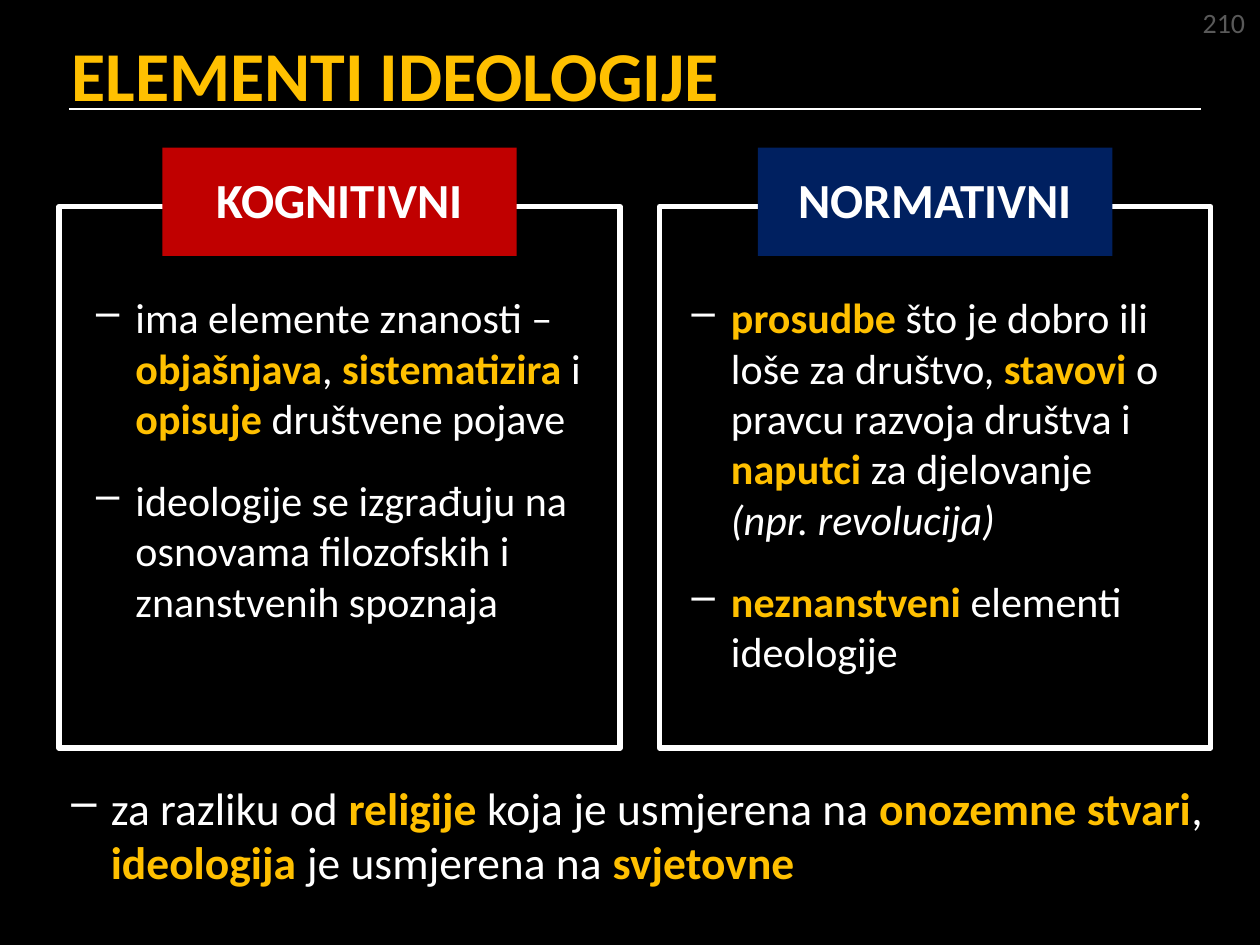
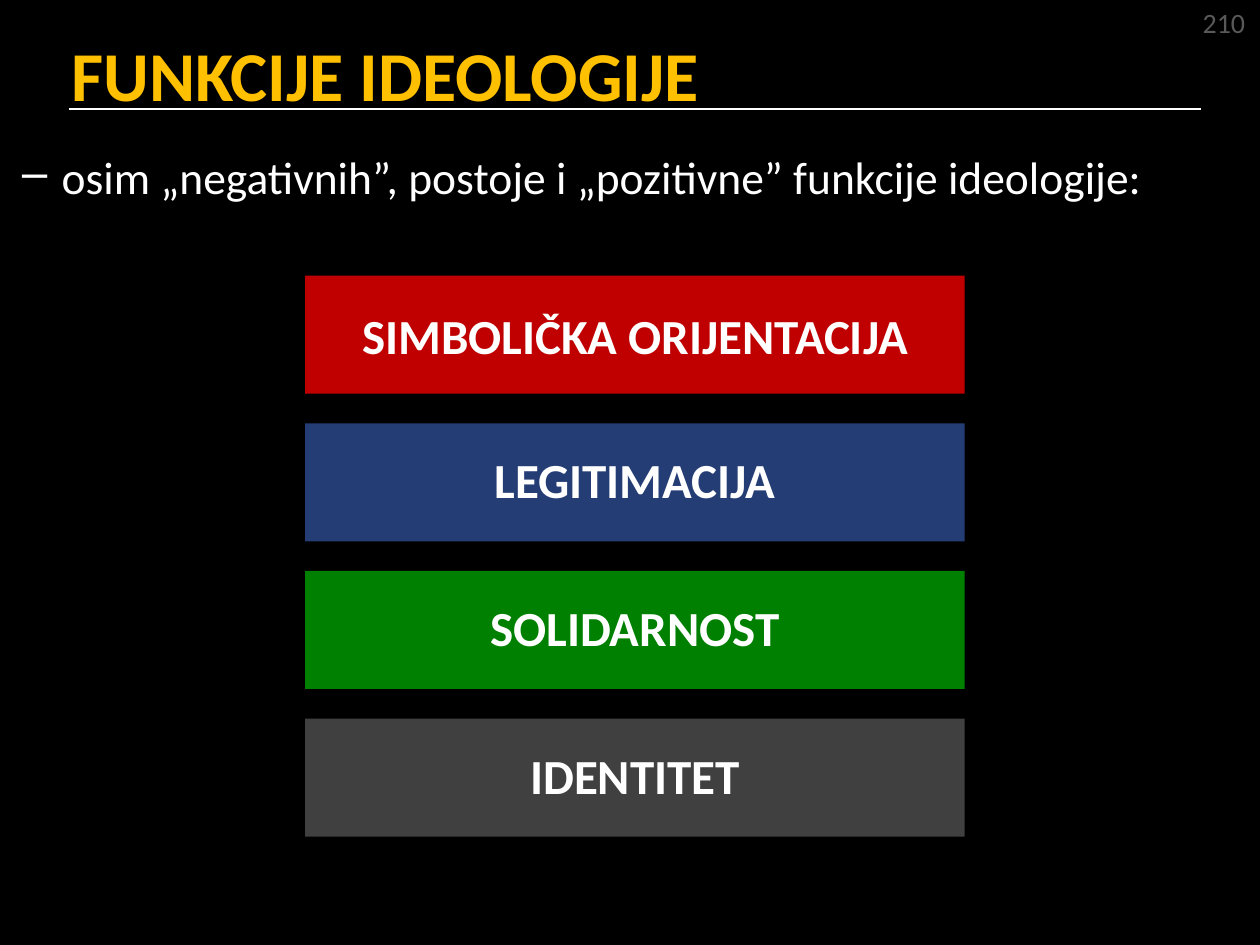
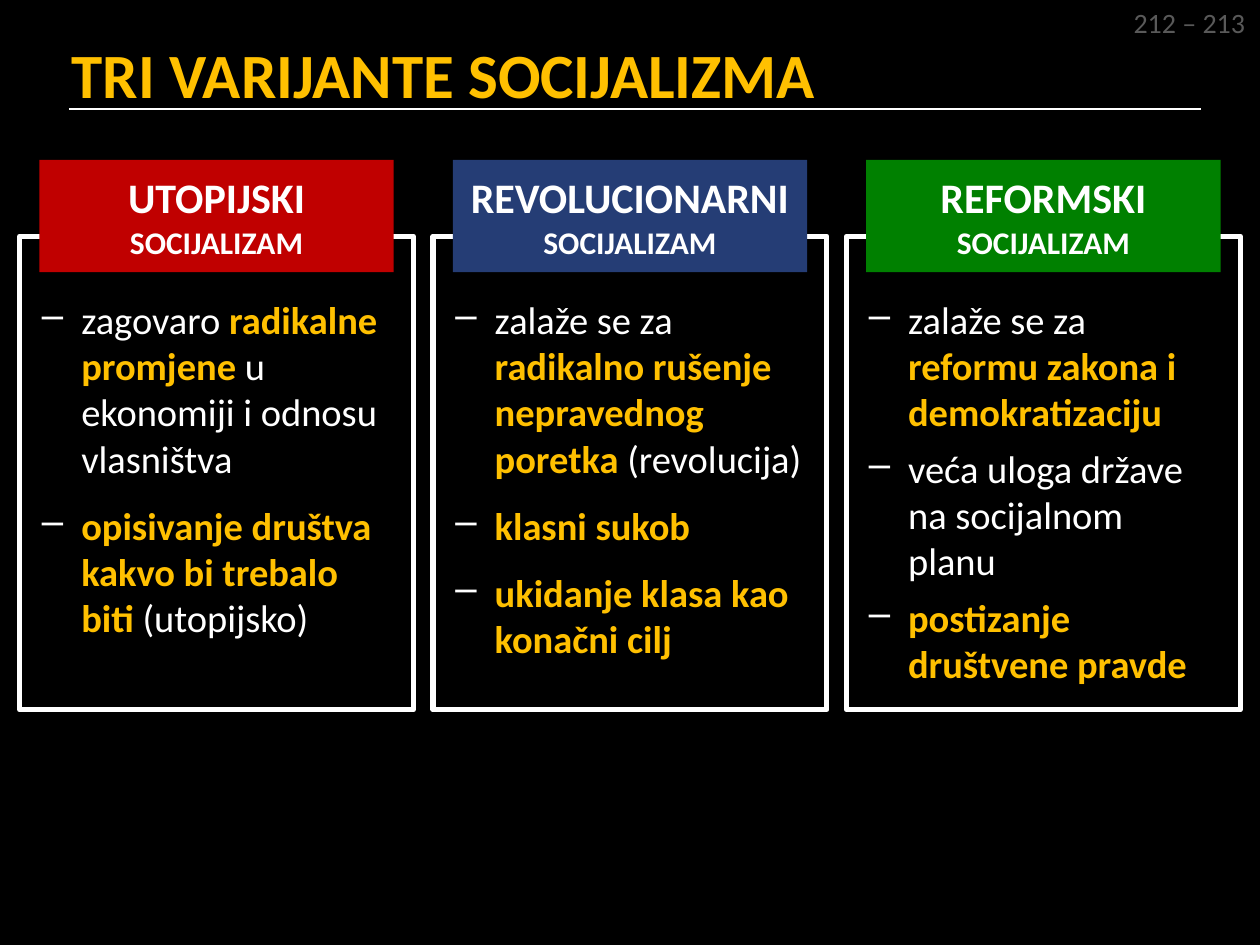
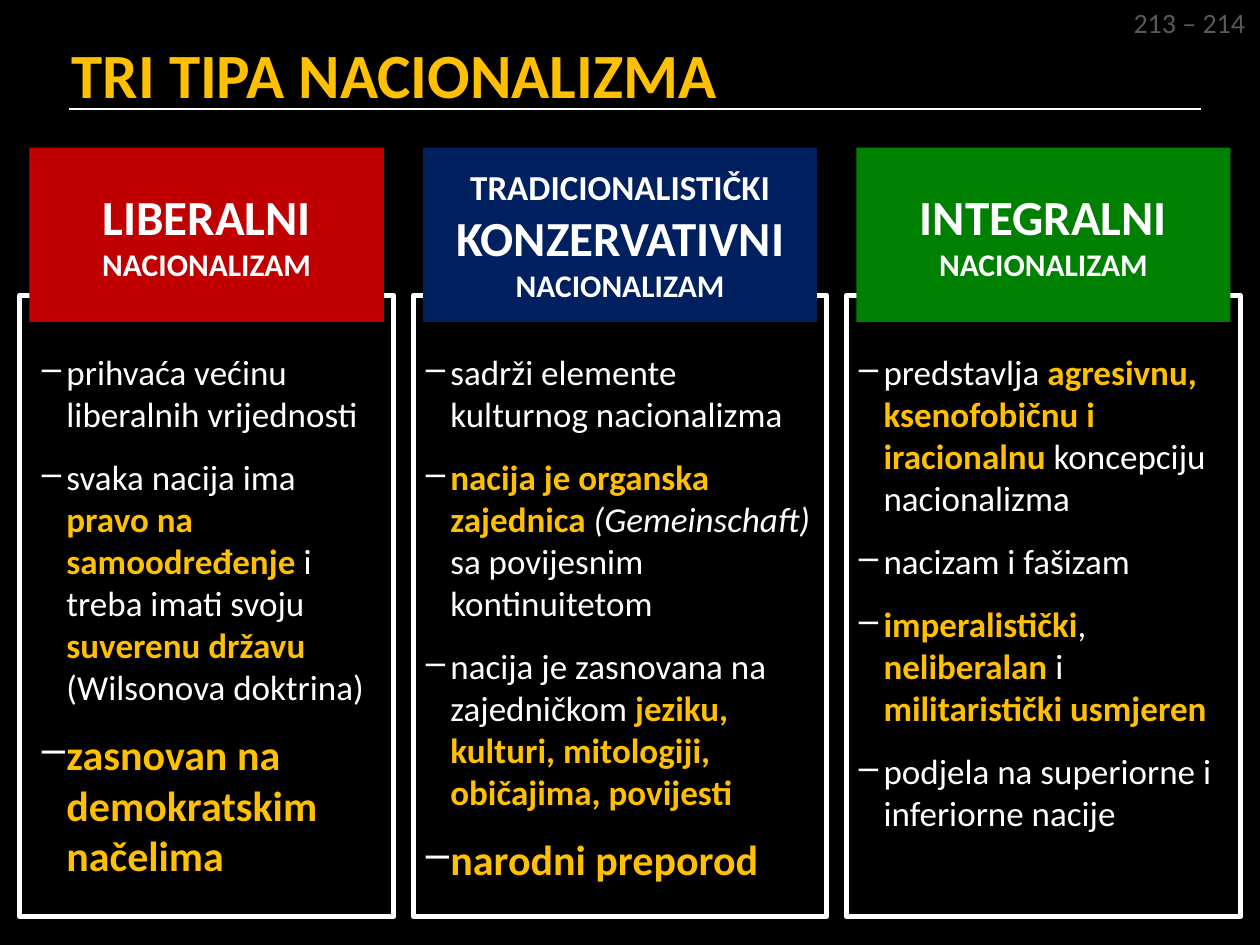
from dataclasses import dataclass
from typing import NamedTuple, Optional

from lxml.etree import SubElement
from pptx import Presentation
from pptx.dml.color import RGBColor
from pptx.enum.shapes import MSO_CONNECTOR, MSO_SHAPE
from pptx.enum.text import MSO_ANCHOR, MSO_AUTO_SIZE, PP_ALIGN
from pptx.oxml.ns import qn
from pptx.util import Emu, Inches, Length, Pt

SLIDE_WIDTH = Inches(10)
SLIDE_HEIGHT = Inches(7.5)
COLUMNS = 128
ROWS = 96


@dataclass(frozen=True)
class Theme:
    font: str = "Calibri"
    background: str = "000000"
    text: str = "FFFFFF"
    accent: str = "FFC000"
    muted: str = "595959"
    red: str = "C00000"
    navy: str = "002060"
    blue: str = "253D75"
    green: str = "008000"
    gray: str = "404040"
    title: int = 40
    long_title: int = 36
    heading: int = 28
    lead: int = 26
    large: int = 24
    medium: int = 22
    small: int = 20
    caption: int = 18
    page_number: int = 16
    rule_width: int = 1
    frame_width: int = 3
    tight: float = 0.93


THEME = Theme()


class Area(NamedTuple):
    left: float
    top: float
    width: float
    height: float


@dataclass(frozen=True)
class Span:
    text: str
    color: str = THEME.text
    bold: bool = False
    italic: bool = False
    size: Optional[int] = None


@dataclass(frozen=True)
class Para:
    spans: list[Span]
    line_spacing: float | Length | None = None


@dataclass(frozen=True)
class Bullets:
    area: Area
    size: int
    items: list[list[Span]]
    indent: float = 4
    gap: int = 0
    line_spacing: Optional[float] = None


@dataclass(frozen=True)
class Card:
    left: float
    width: float
    header_width: float
    color: str
    heading: list[Para]
    text_left: float
    text_width: float
    text_height: float
    items: list[list[Span]]
    gap: int


@dataclass(frozen=True)
class CardRow:
    frame_top: float
    frame_height: float
    header_top: float
    header_height: float
    text_top: float
    text_size: int
    indent: float
    cards: list[Card]


def gold(text: str, size: Optional[int] = None) -> Span:
    return Span(text, THEME.accent, bold=True, size=size)


def italic(text: str) -> Span:
    return Span(text, italic=True)


def strong(text: str, size: int) -> Span:
    return Span(text, bold=True, size=size)


def across(columns: float) -> Emu:
    return Emu(round(SLIDE_WIDTH * columns / COLUMNS))


def down(rows: float) -> Emu:
    return Emu(round(SLIDE_HEIGHT * rows / ROWS))


def place(area: Area) -> tuple[Emu, Emu, Emu, Emu]:
    return across(area.left), down(area.top), across(area.width), down(area.height)


def rgb(color: str) -> RGBColor:
    return RGBColor.from_string(color)


def write_spans(paragraph, spans: list[Span], size: int) -> None:
    for span in spans:
        run = paragraph.add_run()
        run.text = span.text
        run.font.name = THEME.font
        run.font.size = Pt(span.size or size)
        run.font.color.rgb = rgb(span.color)
        run.font.bold = span.bold
        run.font.italic = span.italic


def next_paragraph(frame, index: int):
    return frame.add_paragraph() if index else frame.paragraphs[0]


def add_text_box(page, area: Area):
    frame = page.shapes.add_textbox(*place(area)).text_frame
    frame.word_wrap = True
    return frame


def add_rectangle(page, area: Area):
    box = page.shapes.add_shape(MSO_SHAPE.RECTANGLE, *place(area))
    box.shadow.inherit = False
    return box


def add_frame(page, area: Area) -> None:
    box = add_rectangle(page, area)
    box.fill.background()
    box.line.color.rgb = rgb(THEME.text)
    box.line.width = Pt(THEME.frame_width)


def add_label(page, area: Area, color: str, heading: list[Para]) -> None:
    box = add_rectangle(page, area)
    box.fill.solid()
    box.fill.fore_color.rgb = rgb(color)
    box.line.fill.background()
    frame = box.text_frame
    frame.word_wrap = True
    frame.vertical_anchor = MSO_ANCHOR.MIDDLE
    for index, para in enumerate(heading):
        paragraph = next_paragraph(frame, index)
        paragraph.alignment = PP_ALIGN.CENTER
        paragraph.line_spacing = para.line_spacing
        write_spans(paragraph, para.spans, THEME.heading)


def add_dash(paragraph, indent: float) -> None:
    properties = paragraph._p.get_or_add_pPr()
    properties.set("marL", str(across(indent)))
    properties.set("indent", str(-across(indent)))
    color = SubElement(properties, qn("a:buClr"))
    SubElement(color, qn("a:srgbClr"), val=THEME.text)
    SubElement(properties, qn("a:buChar"), char="–")


def add_bullets(page, bullets: Bullets) -> None:
    frame = add_text_box(page, bullets.area)
    frame.auto_size = MSO_AUTO_SIZE.SHAPE_TO_FIT_TEXT
    for index, spans in enumerate(bullets.items):
        paragraph = next_paragraph(frame, index)
        add_dash(paragraph, bullets.indent)
        paragraph.line_spacing = bullets.line_spacing
        if index:
            paragraph.space_before = Pt(bullets.gap)
        write_spans(paragraph, spans, bullets.size)


def add_cards(page, row: CardRow) -> None:
    for card in row.cards:
        add_frame(page, Area(card.left, row.frame_top, card.width, row.frame_height))
    for card in row.cards:
        header_left = card.left + (card.width - card.header_width) / 2
        header = Area(header_left, row.header_top, card.header_width, row.header_height)
        add_label(page, header, card.color, card.heading)
        text = Area(card.text_left, row.text_top, card.text_width, card.text_height)
        add_bullets(page, Bullets(text, row.text_size, card.items, row.indent, card.gap))


def add_page(deck, title: str, title_size: int, numbers: str, number_width: float):
    page = deck.slides.add_slide(deck.slide_layouts[6])
    rule = page.shapes.add_connector(
        MSO_CONNECTOR.STRAIGHT, across(7), down(11.1), across(122), down(11.1)
    )
    rule.line.color.rgb = rgb(THEME.text)
    rule.line.width = Pt(THEME.rule_width)
    SubElement(rule._element.spPr, qn("a:effectLst"))

    heading = add_text_box(page, Area(6, 2.88, 125, 9.2))
    heading.vertical_anchor = MSO_ANCHOR.MIDDLE
    write_spans(heading.paragraphs[0], [gold(title)], title_size)

    corner = add_text_box(page, Area(127.75 - number_width, -0.1, number_width, 4.7))
    corner.word_wrap = False
    corner.auto_size = MSO_AUTO_SIZE.SHAPE_TO_FIT_TEXT
    corner.paragraphs[0].alignment = PP_ALIGN.RIGHT
    write_spans(corner.paragraphs[0], [Span(numbers, THEME.muted)], THEME.page_number)
    return page


def single_heading(text: str, line_spacing: Optional[float] = THEME.tight) -> list[Para]:
    return [Para([strong(text, THEME.heading)], line_spacing)]


def socialism_heading(kind: str) -> list[Para]:
    return [
        Para([strong(kind, THEME.large)]),
        Para([strong("SOCIJALIZAM", THEME.caption)], Pt(22)),
    ]


def nationalism_heading(kind: str, prefix: str = "") -> list[Para]:
    spans = [strong(f"{kind} ", THEME.heading), strong("NACIONALIZAM", THEME.caption)]
    if prefix:
        spans.insert(0, strong(f"{prefix} ", THEME.small))
    return [Para(spans)]


def build_elements(deck) -> None:
    page = add_page(deck, "ELEMENTI IDEOLOGIJE", THEME.title, "210", 7)
    cognitive = [
        [
            Span("ima elemente znanosti – "), gold("objašnjava"), Span(", "),
            gold("sistematizira"), Span(" i "), gold("opisuje"), Span(" društvene pojave"),
        ],
        [Span("ideologije se izgrađuju na osnovama filozofskih i znanstvenih spoznaja")],
    ]
    normative = [
        [
            gold("prosudbe"), Span(" što je dobro ili loše za društvo, "), gold("stavovi"),
            Span(" o pravcu razvoja društva i "), gold("naputci"),
            Span(" za djelovanje "), italic("(npr. revolucija)"),
        ],
        [gold("neznanstveni "), Span("elementi ideologije")],
    ]
    add_cards(page, CardRow(21, 55, 15, 11, 29, THEME.large, 4, [
        Card(6, 57, 36, THEME.red, single_heading("KOGNITIVNI"), 8.5, 52, 33.4, cognitive, 18),
        Card(67, 56, 36, THEME.navy, single_heading("NORMATIVNI"), 69, 52, 40.7, normative, 18),
    ]))
    add_bullets(page, Bullets(Area(6, 78.6, 119, 11.6), THEME.lead, [[
        Span("za razliku od "), gold("religije"), Span(" koja je usmjerena na "),
        gold("onozemne stvari"), Span(", "), gold("ideologija"),
        Span(" je usmjerena na "), gold("svjetovne"),
    ]]))


def build_functions(deck) -> None:
    page = add_page(deck, "FUNKCIJE IDEOLOGIJE", THEME.title, "210", 7)
    functions = [
        (THEME.red, single_heading("SIMBOLIČKA ORIJENTACIJA", None)),
        (THEME.blue, single_heading("LEGITIMACIJA")),
        (THEME.green, single_heading("SOLIDARNOST")),
        (THEME.gray, single_heading("IDENTITET")),
    ]
    for index, (color, heading) in enumerate(functions):
        add_label(page, Area(31, 28 + 15 * index, 67, 12), color, heading)
    intro = [[Span("osim „negativnih”, postoje i „pozitivne” funkcije ideologije:")]]
    add_bullets(page, Bullets(
        Area(1, 15, 123.5, 6.5), THEME.lead, intro, line_spacing=THEME.tight
    ))


def build_socialism(deck) -> None:
    page = add_page(deck, "TRI VARIJANTE SOCIJALIZMA", THEME.long_title, "212 – 213", 14)
    utopian = [
        [Span("zagovaro "), gold("radikalne promjene "),
         Span("u ekonomiji i odnosu vlasništva")],
        [gold("opisivanje društva kakvo bi trebalo biti "), Span("(utopijsko)")],
    ]
    revolutionary = [
        [Span("zalaže se za "), gold("radikalno rušenje nepravednog poretka "),
         Span("(revolucija)")],
        [gold("klasni sukob")],
        [gold("ukidanje klasa kao konačni cilj")],
    ]
    reformist = [
        [Span("zalaže se za "), gold("reformu zakona i demokratizaciju")],
        [Span("veća uloga države na socijalnom planu")],
        [gold("postizanje društvene pravde")],
    ]
    variants = [
        ("UTOPIJSKI", THEME.red, 37.4, 36.6, utopian, 12),
        ("REVOLUCIONARNI", THEME.blue, 40, 36.5, revolutionary, 12),
        ("REFORMSKI", THEME.green, 37.4, 38.7, reformist, 6),
    ]
    cards = [
        Card(2 + 42 * index, 40, 36, color, socialism_heading(kind),
             3 + 42 * index, text_width, text_height, items, gap)
        for index, (kind, color, text_width, text_height, items, gap) in enumerate(variants)
    ]
    add_cards(page, CardRow(24, 48.1, 16.25, 11.4, 29.45, THEME.medium, 4, cards))


def build_nationalism(deck) -> None:
    page = add_page(deck, "TRI TIPA NACIONALIZMA", THEME.long_title, "213 – 214", 14)
    liberal = [
        [Span("prihvaća većinu liberalnih vrijednosti")],
        [Span("svaka nacija ima "), gold("pravo na samoodređenje "),
         Span("i treba imati svoju "), gold("suverenu državu "),
         Span("(Wilsonova doktrina)")],
        [gold("zasnovan na demokratskim načelima", THEME.large)],
    ]
    conservative = [
        [Span("sadrži elemente kulturnog nacionalizma")],
        [gold("nacija je organska zajednica "), italic("(Gemeinschaft) "),
         Span("sa povijesnim kontinuitetom")],
        [Span("nacija je zasnovana na zajedničkom "),
         gold("jeziku, kulturi, mitologiji, običajima, povijesti")],
        [gold("narodni preporod", THEME.large)],
    ]
    integral = [
        [Span("predstavlja "), gold("agresivnu, ksenofobičnu i iracionalnu "),
         Span("koncepciju nacionalizma")],
        [Span("nacizam i fašizam")],
        [gold("imperalistički"), Span(", "), gold("neliberalan "), Span("i "),
         gold("militaristički usmjeren")],
        [Span("podjela na superiorne i inferiorne nacije")],
    ]
    add_cards(page, CardRow(30, 63.1, 15, 17.7, 35, THEME.small, 2.5, [
        Card(2, 38, 36, THEME.red, nationalism_heading("LIBERALNI"),
             3, 37.4, 52.1, liberal, 12),
        Card(42, 42, 40, THEME.navy,
             nationalism_heading("KONZERVATIVNI", "TRADICIONALISTIČKI"),
             42, 42, 52.6, conservative, 12),
        Card(86, 40, 38, THEME.green, nationalism_heading("INTEGRALNI"),
             86, 41, 47.9, integral, 12),
    ]))


def main() -> None:
    deck = Presentation()
    deck.slide_width = SLIDE_WIDTH
    deck.slide_height = SLIDE_HEIGHT
    backdrop = deck.slide_master.background.fill
    backdrop.solid()
    backdrop.fore_color.rgb = rgb(THEME.background)
    for build in (build_elements, build_functions, build_socialism, build_nationalism):
        build(deck)
    deck.save("out.pptx")


if __name__ == "__main__":
    main()
